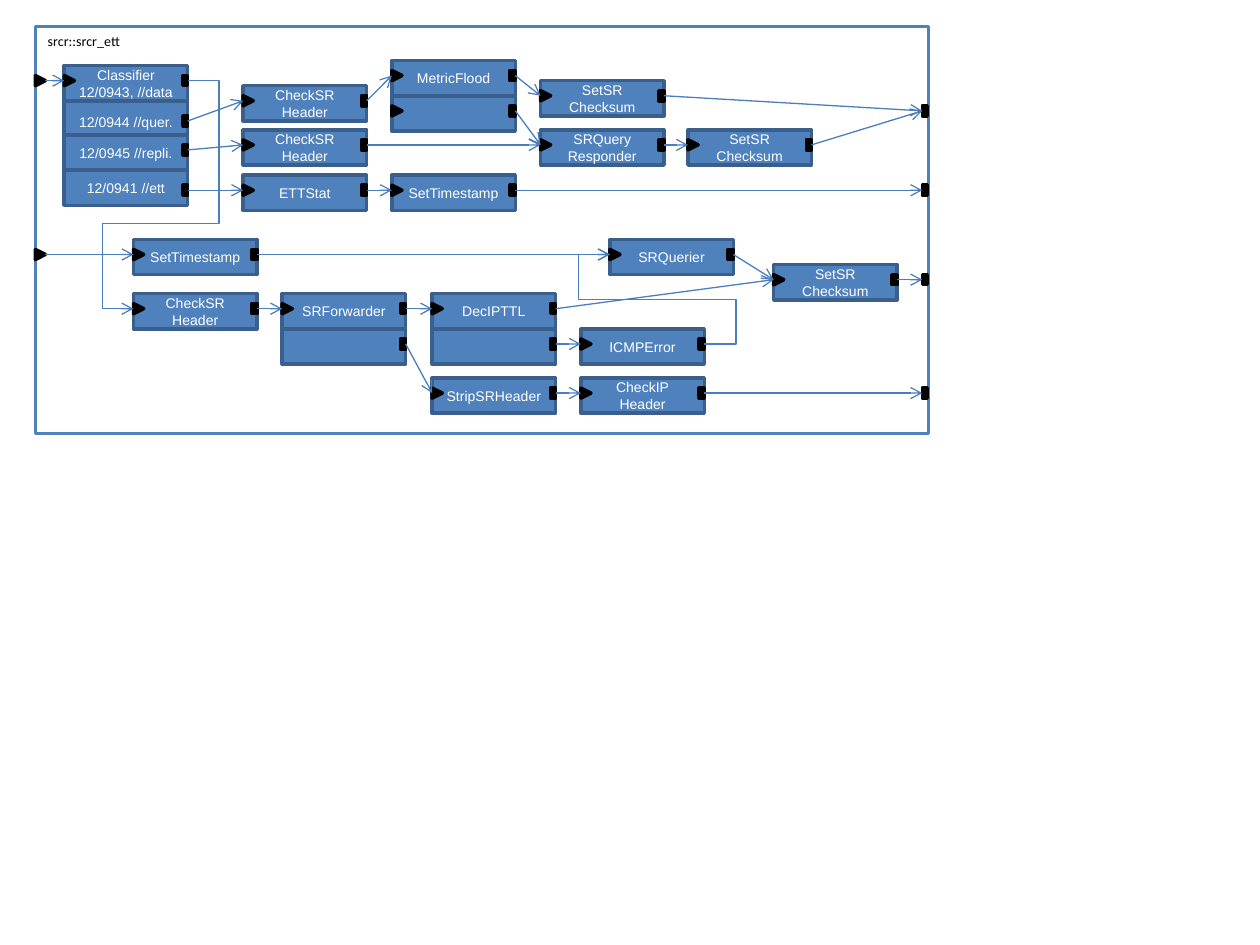
from dataclasses import dataclass
from typing import NamedTuple

from lxml.etree import SubElement
from pptx import Presentation
from pptx.dml.color import RGBColor
from pptx.enum.shapes import MSO_CONNECTOR, MSO_SHAPE
from pptx.enum.text import MSO_ANCHOR, PP_ALIGN
from pptx.oxml.ns import qn
from pptx.util import Inches, Pt

BLUE = RGBColor(0x4F, 0x81, 0xBD)
NAVY = RGBColor(0x3A, 0x5F, 0x8C)
WIRE = RGBColor(0x4B, 0x7E, 0xBC)
BLACK = RGBColor(0, 0, 0)
WHITE = RGBColor(255, 255, 255)

WIDE, HIGH = 0.98, 0.28
PORT, SLIM = 0.08, 0.04
MID = 0.12
LEFT, RIGHT = 0.28, 7.32

BODY = {"size": Pt(8), "name": "Arial"}
HEAD = {"size": Pt(8), "name": "Calibri"}


@dataclass
class Box:
    x: float
    y: float
    text: str = ""
    into: bool = True
    out: bool = True
    drop: float = MID
    anchor: MSO_ANCHOR = MSO_ANCHOR.MIDDLE

    def start(self) -> tuple[float, float]:
        return self.x + WIDE, self.y + self.drop

    def end(self) -> tuple[float, float]:
        return self.x, self.y + MID


class Link(NamedTuple):
    start: str
    end: str
    bends: tuple[float, ...] = ()


CHECK, SUM = "CheckSR\nHeader", "SetSR\nChecksum"
BOXES = {
    "data": Box(0.51, 0.52, "Classifier\n12/0943, //data"),
    "query": Box(0.51, 0.8, "12/0944 //quer.", False, drop=0.16, anchor=MSO_ANCHOR.BOTTOM),
    "reply": Box(0.51, 1.07, "12/0945 //repli.", False),
    "ett": Box(0.51, 1.35, "12/0941 //ett", False, drop=0.16),
    "check1": Box(1.93, 0.68, CHECK),
    "check2": Box(1.93, 1.03, CHECK),
    "stat": Box(1.93, 1.39, "ETTStat"),
    "flood": Box(3.11, 0.48, "MetricFlood"),
    "flood2": Box(3.11, 0.76),
    "stamp1": Box(3.11, 1.39, "SetTimestamp"),
    "sum1": Box(4.29, 0.64, SUM),
    "answer": Box(4.29, 1.03, "SRQuery\nResponder"),
    "sum2": Box(5.46, 1.03, SUM),
    "stamp2": Box(1.06, 1.9, "SetTimestamp"),
    "asker": Box(4.84, 1.9, "SRQuerier"),
    "check3": Box(1.06, 2.33, CHECK),
    "forward": Box(2.24, 2.33, "SRForwarder"),
    "forward2": Box(2.24, 2.61, into=False),
    "ttl": Box(3.43, 2.33, "DecIPTTL"),
    "ttl2": Box(3.43, 2.61, into=False),
    "error": Box(4.61, 2.61, "ICMPError"),
    "sum3": Box(6.14, 2.1, SUM),
    "strip": Box(3.43, 3, "StripSRHeader"),
    "check4": Box(4.61, 3, "CheckIP\nHeader"),
}
INS = {"in1": 0.64, "in2": 2.02}
OUTS = {"out1": 0.88, "out2": 1.51, "out3": 2.22, "out4": 3.12}

LINKS = [
    Link("in1", "data"), Link("query", "check1"), Link("reply", "check2"),
    Link("check1", "flood"), Link("flood", "sum1"), Link("sum1", "out1"),
    Link("check2", "answer"), Link("flood2", "answer"), Link("answer", "sum2"),
    Link("sum2", "out1"), Link("ett", "stat"), Link("stat", "stamp1"),
    Link("stamp1", "out2"), Link("in2", "stamp2"), Link("stamp2", "asker"),
    Link("data", "check3", (-0.577, 0.625, 1.577)),
    Link("check3", "forward"), Link("forward", "ttl"), Link("ttl", "sum3"),
    Link("ttl2", "error"), Link("error", "asker", (-0.334, 0.5, 1.334)),
    Link("asker", "sum3"), Link("forward2", "strip"), Link("strip", "check4"),
    Link("check4", "out4"), Link("sum3", "out3"),
]

deck = Presentation()
deck.slide_width, deck.slide_height = Inches(10), Inches(7.5)
shapes = deck.slides.add_slide(deck.slide_layouts[6]).shapes


def shape(kind: MSO_SHAPE, x: float, y: float, w: float, h: float,
          fill: RGBColor | None, edge: RGBColor):
    item = shapes.add_shape(kind, Inches(x), Inches(y), Inches(w), Inches(h))
    item.shadow.inherit = False
    if fill is None:
        item.fill.background()
    else:
        item.fill.solid()
        item.fill.fore_color.rgb = fill
    item.line.color.rgb = edge
    item.line.width = Pt(2)
    return item


def write(item, text: str, style: dict, color: RGBColor,
          align: PP_ALIGN, anchor: MSO_ANCHOR) -> None:
    frame = item.text_frame
    frame.text = text
    frame.word_wrap = True
    frame.vertical_anchor = anchor
    for para in frame.paragraphs:
        para.alignment = align
        for run in para.runs:
            for key, value in style.items():
                setattr(run.font, key, value)
            run.font.color.rgb = color


def inlet(x: float, mid: float) -> None:
    item = shape(MSO_SHAPE.ISOSCELES_TRIANGLE, x, mid - PORT / 2, PORT, PORT, BLACK, BLACK)
    item.rotation = 90


def outlet(x: float, mid: float) -> None:
    shape(MSO_SHAPE.RECTANGLE, x, mid - PORT / 2, SLIM, PORT, BLACK, BLACK)


def block(box: Box) -> None:
    item = shape(MSO_SHAPE.RECTANGLE, box.x, box.y, WIDE, HIGH, BLUE, NAVY)
    if box.text:
        write(item, box.text, BODY, WHITE, PP_ALIGN.CENTER, box.anchor)
    if box.into:
        inlet(*box.end())
    if box.out:
        x, mid = box.start()
        outlet(x - SLIM, mid)


def wire(link: Link) -> None:
    start = (LEFT + PORT, INS[link.start]) if link.start in INS else BOXES[link.start].start()
    end = (RIGHT, OUTS[link.end]) if link.end in OUTS else BOXES[link.end].end()
    kind = MSO_CONNECTOR.ELBOW if link.bends else MSO_CONNECTOR.STRAIGHT
    item = shapes.add_connector(kind, *[Inches(n) for n in (*start, *end)])
    item.line.color.rgb = WIRE
    item.line.width = Pt(0.75)
    props = item.line._get_or_add_ln()
    SubElement(props, qn("a:tailEnd"), type="arrow")
    SubElement(item._element.spPr, qn("a:effectLst"))
    if link.bends:
        geom = item._element.spPr.find(qn("a:prstGeom"))
        geom.set("prst", "bentConnector5")
        guides = geom.find(qn("a:avLst"))
        for num, bend in enumerate(link.bends, 1):
            SubElement(guides, qn("a:gd"), name=f"adj{num}", fmla=f"val {round(bend * 100000)}")


panel = shape(MSO_SHAPE.RECTANGLE, LEFT, 0.21, 7.09, 3.23, None, BLUE)
write(panel, "srcr::srcr_ett", HEAD, BLACK, PP_ALIGN.LEFT, MSO_ANCHOR.TOP)
for box in BOXES.values():
    block(box)
for mid in INS.values():
    inlet(LEFT, mid)
for mid in OUTS.values():
    outlet(RIGHT, mid)
for link in LINKS:
    wire(link)

deck.save("out.pptx")
